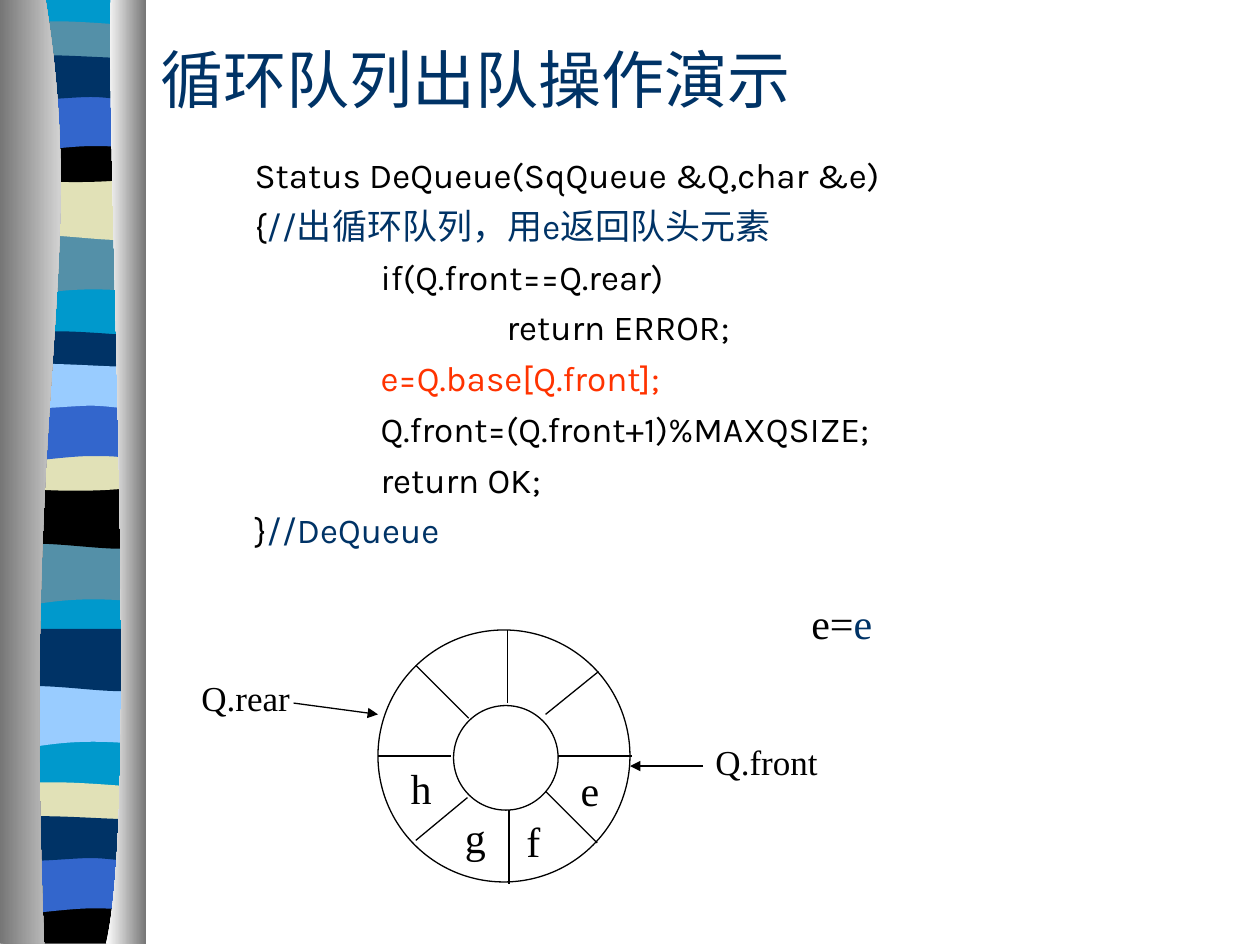
"""Build a slide showing how an element leaves a circular queue."""
from typing import NamedTuple

from lxml import etree
from pptx import Presentation
from pptx import util as u
from pptx.dml.color import RGBColor
from pptx.enum import shapes, text
from pptx.oxml.ns import qn

COLORS = {
    "black": "000000", "white": "FFFFFF", "gray": "767676", "navy": "003366",
    "blue": "3366CC", "sky": "99CCFF", "cyan": "0099CC", "teal": "5490A8",
    "sand": "E1E1B7", "red": "FF3300",
}
SERIF, SANS = "Times New Roman", "Karla"

Point = tuple[float, float]
Segment = tuple[Point, ...]


class Band(NamedTuple):
    fill: str
    top: float
    form: str


class Run(NamedTuple):
    words: str
    color: str = "black"


class Label(NamedTuple):
    left: float
    top: float
    width: float
    height: float
    size: float
    runs: list[Run]


class Line(NamedTuple):
    start: Point
    end: Point
    arrow: bool = False


FORMS: dict[str, list[Segment]] = {
    "slab": [((1.14, 0),), ((1.14, 7.48),), ((0.06, 7.48),), ((0.06, 0),)],
    "dip": [((1.14, 0),), ((1.14, 0.47),),
            ((0.39, 0.39), (0.24, 0.55), (0.06, 0.47)), ((0.06, 0),)],
    "swell": [((1.14, 0),), ((1.14, 0.47),),
              ((0.96, 0.55), (0.39, 0.41), (0.06, 0.47)), ((0.06, 0),)],
    "ridge": [((1.14, 0.05),), ((1.14, 0.29),),
              ((0.96, 0.33), (0.24, 0.33), (0.06, 0.29)), ((0.06, 0.05),),
              ((0.12, 0), (0.29, 0.01), (0.47, 0.01)),
              ((0.65, 0.01), (1, 0.04), (1.14, 0.05))],
    "sag": [((1.14, 0),), ((1.14, 0.32),),
            ((0.96, 0.38), (0.24, 0.38), (0.06, 0.32)), ((0.06, 0),),
            ((0.72, 0.05), (0.91, 0), (1.14, 0))],
    "arch": [((1.14, 0),), ((1.14, 0.47),),
             ((0.97, 0.42), (0.9, 0.42), (0.72, 0.42)),
             ((0.54, 0.42), (0.22, 0.47), (0.06, 0.47)), ((0.06, 0),)],
    "tilt": [((1.14, 0.05),), ((1.14, 0.36),),
             ((1.07, 0.41), (0.9, 0.36), (0.72, 0.36)),
             ((0.54, 0.36), (0.17, 0.41), (0.06, 0.36)), ((0.06, 0.05),),
             ((0.21, 0), (0.79, 0.05), (0.97, 0.05)),
             ((1.15, 0.05), (1.1, 0.05), (1.14, 0.05))],
    "foot": [((1.14, 0),), ((1.14, 0.37),), ((0.06, 0.37),), ((0.06, 0),),
             ((0.72, 0.05), (0.91, 0), (1.14, 0))],
}

BANDS = [
    Band("cyan", -0.01, "slab"), Band("teal", 1.85, "dip"),
    Band("sand", 1.41, "swell"), Band("teal", 0.16, "ridge"),
    Band("black", 1.08, "sag"), Band("blue", 0.74, "arch"),
    Band("navy", 0.41, "tilt"), Band("teal", 4.31, "dip"),
    Band("black", 3.86, "swell"), Band("navy", 2.62, "ridge"),
    Band("sand", 3.53, "sag"), Band("blue", 3.2, "arch"),
    Band("sky", 2.86, "tilt"), Band("sky", 5.44, "dip"),
    Band("navy", 4.99, "swell"), Band("sand", 6.2, "ridge"),
    Band("black", 7.12, "foot"), Band("blue", 6.79, "arch"),
    Band("navy", 6.45, "tilt"),
]

CODE = [
    [Run("Status DeQueue(SqQueue &Q,char &e)")],
    [Run("{"), Run("//出循环队列，用e返回队头元素", "navy")],
    [Run("\tif(Q.front==Q.rear)")],
    [Run("\t\treturn ERROR;")],
    [Run("\t"), Run("e=Q.base[Q.front];", "red")],
    [Run("\tQ.front=(Q.front+1)%MAXQSIZE;")],
    [Run("\treturn OK;")],
    [Run("}"), Run("//DeQueue", "navy")],
]

LINES = [
    Line((3, 6), (3.58, 6)), Line((4.43, 6), (5.02, 6)),
    Line((4.03, 5), (4.03, 5.58)), Line((4.04, 6.43), (4.04, 7.02)),
    Line((3.3, 5.28), (3.72, 5.7)), Line((4.33, 6.28), (4.74, 6.69)),
    Line((3.3, 6.67), (3.71, 6.33)), Line((4.33, 5.67), (4.75, 5.33)),
    Line((2.33, 5.58), (3, 5.67), True), Line((5.58, 6.08), (5, 6.08), True),
]

LABELS = [
    Label(1.5, 5.32, 1.08, 0.44, 20, [Run("Q.rear")]),
    Label(5.58, 5.83, 1.08, 0.44, 20, [Run("Q.front")]),
    Label(4.51, 6.02, 0.58, 0.5, 24, [Run("e")]),
    Label(4.08, 6.42, 0.58, 0.5, 24, [Run("f")]),
    Label(3.59, 6.39, 0.58, 0.5, 24, [Run("g")]),
    Label(3.16, 6, 0.58, 0.5, 24, [Run("h")]),
    Label(6.34, 4.69, 0.71, 0.5, 24, [Run("e="), Run("e", "navy")]),
]


def rgb(name: str) -> RGBColor:
    return RGBColor.from_string(COLORS[name])


def add_outline(slide, segments: list[Segment], top: float = 0):
    corners = [(u.Inches(x), u.Inches(top + y)) for segment in segments for x, y in segment]
    builder = slide.shapes.build_freeform(*corners[0])
    builder.add_line_segments(corners[1:], close=True)
    shape = builder.convert_to_shape()
    nodes = iter(list(shape._element.iter(qn("a:lnTo"))))
    for segment in segments[1:]:
        node = next(nodes)
        if len(segment) == 3:
            curve = etree.Element(qn("a:cubicBezTo"))
            node.addprevious(curve)
            for side in (node, next(nodes), next(nodes)):
                curve.append(side[0])
                side.getparent().remove(side)
    shape.shadow.inherit = False
    shape.line.fill.background()
    return shape


def add_band(slide, band: Band) -> None:
    shape = add_outline(slide, FORMS[band.form], band.top)
    shape.fill.solid()
    shape.fill.fore_color.rgb = rgb(band.fill)


def add_curtain(slide, segments: list[Segment], colors: list[str]) -> None:
    shape = add_outline(slide, segments)
    shape.fill.gradient()
    shape.fill.gradient_angle = 0
    for stop, color in zip(shape.fill.gradient_stops, colors):
        stop.color.rgb = rgb(color)


def add_ring(slide, left: float, top: float, diameter: float) -> None:
    shape = slide.shapes.add_shape(shapes.MSO_SHAPE.OVAL, u.Inches(left), u.Inches(top),
                                   u.Inches(diameter), u.Inches(diameter))
    shape.shadow.inherit = False
    shape.fill.background()
    shape.line.color.rgb = rgb("black")
    shape.line.width = u.Pt(0.75)


def add_line(slide, line: Line) -> None:
    ends = [u.Inches(value) for value in line.start + line.end]
    connector = slide.shapes.add_connector(shapes.MSO_CONNECTOR.STRAIGHT, *ends)
    connector.line.color.rgb = rgb("black")
    connector.line.width = u.Pt(0.75)
    if line.arrow:
        etree.SubElement(connector.line._get_or_add_ln(), qn("a:tailEnd"), type="triangle")
    etree.SubElement(connector._element.spPr, qn("a:effectLst"))


def write(paragraph, runs: list[Run], size: float, font: str) -> None:
    paragraph.alignment = text.PP_ALIGN.LEFT
    for part in runs:
        run = paragraph.add_run()
        run.text = part.words
        run.font.size = u.Pt(size)
        run.font.name = font
        run.font.color.rgb = rgb(part.color)


def add_label(slide, label: Label) -> None:
    box = slide.shapes.add_textbox(*[u.Inches(value) for value in label[:4]])
    box.text_frame.word_wrap = True
    write(box.text_frame.paragraphs[0], label.runs, label.size, SERIF)


def place(shape, left: float, top: float, width: float, height: float, anchor):
    shape.left, shape.top = u.Inches(left), u.Inches(top)
    shape.width, shape.height = u.Inches(width), u.Inches(height)
    frame = shape.text_frame
    frame.word_wrap = True
    frame.auto_size = text.MSO_AUTO_SIZE.NONE
    frame.vertical_anchor = anchor
    return frame


def fill_code(frame) -> None:
    for index, runs in enumerate(CODE):
        paragraph = frame.add_paragraph() if index else frame.paragraphs[0]
        properties = paragraph._p.get_or_add_pPr()
        for name, inches in (("marL", 0), ("indent", 0), ("defTabSz", 1)):
            properties.set(name, str(u.Inches(inches)))
        paragraph.space_before = u.Pt(5 if index else 0)
        etree.SubElement(properties, qn("a:buNone"))
        tabs = etree.SubElement(properties, qn("a:tabLst"))
        for stop in range(8):
            etree.SubElement(tabs, qn("a:tab"), pos=str(u.Inches(stop)), algn="l")
        write(paragraph, runs, 20, SANS)


def main() -> None:
    presentation = Presentation()
    presentation.slide_width, presentation.slide_height = u.Inches(10), u.Inches(7.5)
    slide = presentation.slides.add_slide(presentation.slide_layouts[1])
    for band in BANDS:
        add_band(slide, band)
    add_curtain(slide, [((0.36, -0.01),), ((0.71, 2.16), (0.17, 2.96), (0.35, 7.49)),
                        ((0, 7.49),), ((0, -0.01),)], ["gray", "white"])
    add_curtain(slide, [((0.88, -0.01),), ((0.84, 1.25), (1.11, 6.46), (0.84, 7.49)),
                        ((1.16, 7.49),), ((1.16, -0.01),)], ["white", "gray"])
    title = place(slide.shapes.title, 1.17, 0.25, 5.42, 0.75, text.MSO_ANCHOR.MIDDLE)
    write(title.paragraphs[0], [Run("循环队列出队操作演示", "navy")], 36, SERIF)
    fill_code(place(slide.placeholders[1], 1.92, 1.17, 7.17, 3.66, text.MSO_ANCHOR.TOP))
    add_ring(slide, 3, 5, 2)
    add_ring(slide, 3.6, 5.6, 0.83)
    for line in LINES:
        add_line(slide, line)
    for label in LABELS:
        add_label(slide, label)
    presentation.save("out.pptx")


if __name__ == "__main__":
    main()
